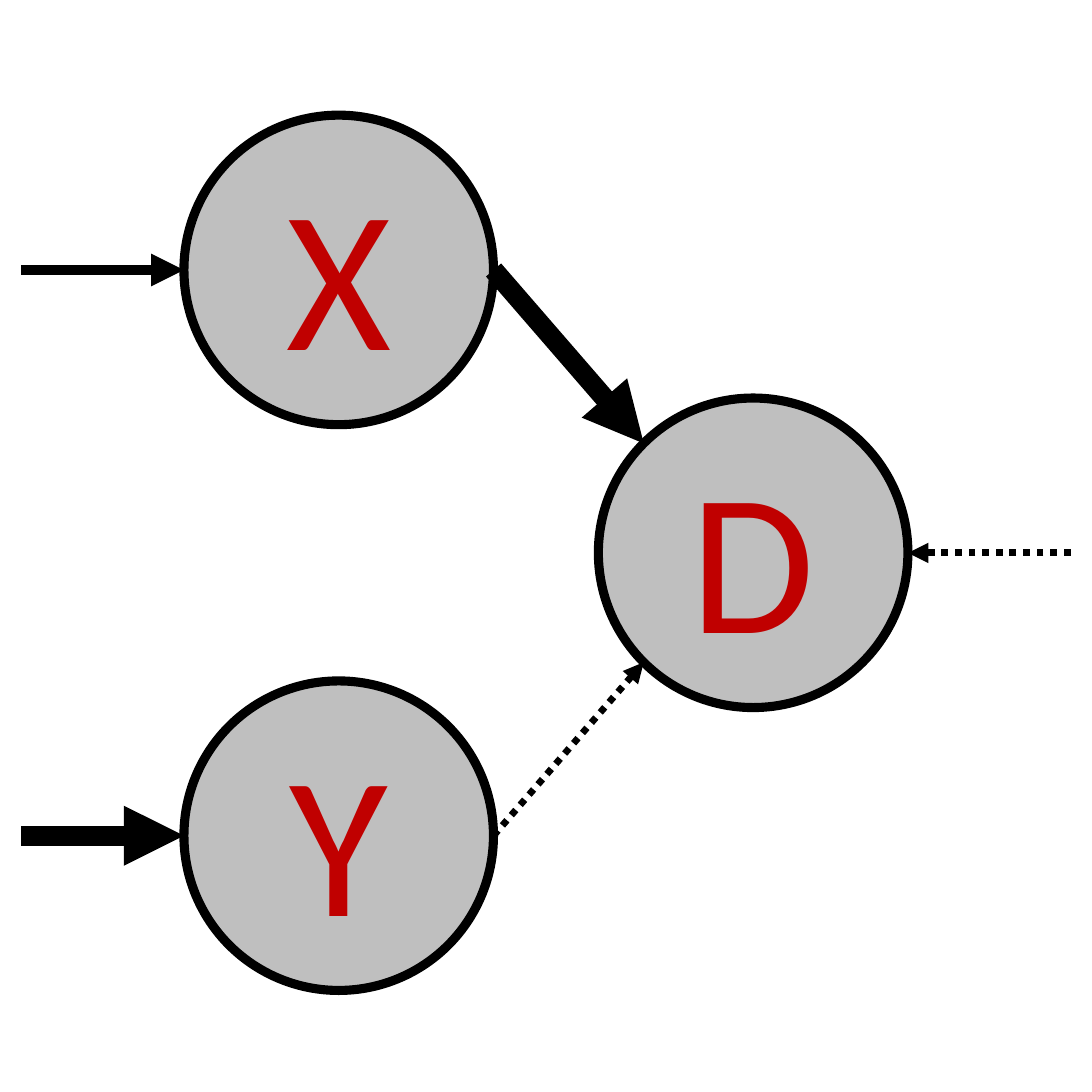
from dataclasses import dataclass
from math import cos, radians, sin

from lxml.etree import SubElement
from pptx import Presentation
from pptx.dml.color import RGBColor
from pptx.enum.dml import MSO_LINE
from pptx.enum.shapes import MSO_CONNECTOR, MSO_SHAPE
from pptx.enum.text import MSO_ANCHOR, PP_ALIGN
from pptx.oxml.ns import qn
from pptx.util import Cm, Pt


@dataclass(frozen=True)
class Theme:
    """Colours, font and sizes of the diagram."""
    ink: RGBColor = RGBColor(0x00, 0x00, 0x00)
    node_fill: RGBColor = RGBColor(0xBF, 0xBF, 0xBF)
    label: RGBColor = RGBColor(0xC0, 0x00, 0x00)
    font: str = "Calibri"
    label_size: float = 66.7
    outline: float = 3
    weak: float = 2.25
    medium: float = 3.6
    strong: float = 6.6


@dataclass(frozen=True)
class Node:
    """A labelled circle, measured in centimetres."""
    label: str
    x: float
    y: float
    radius: float = 1.8

    def rim(self, degrees):
        """Return the rim point at an angle, clockwise from the right."""
        angle = radians(degrees)
        return self.x + self.radius * cos(angle), self.y + self.radius * sin(angle)


def apply_format(target, values):
    """Set each named attribute on the target."""
    for name, value in values.items():
        setattr(target, name, value)


class NetworkSlide:
    """Draws nodes and arrows on one slide in one style."""

    def __init__(self, slide, theme):
        """Keep the slide and its theme."""
        self.slide = slide
        self.theme = theme

    def add_node(self, node):
        """Add a circle with its letter in the middle."""
        theme = self.theme
        diameter = Cm(2 * node.radius)
        shape = self.slide.shapes.add_shape(
            MSO_SHAPE.OVAL, Cm(node.x - node.radius), Cm(node.y - node.radius),
            diameter, diameter)
        shape.shadow.inherit = False
        shape.fill.solid()
        shape.fill.fore_color.rgb = theme.node_fill
        shape.line.color.rgb = theme.ink
        shape.line.width = Pt(theme.outline)
        apply_format(shape.text_frame, {
            "vertical_anchor": MSO_ANCHOR.MIDDLE, "word_wrap": True,
            "margin_left": Cm(0.2), "margin_right": Cm(0.2),
            "margin_top": Cm(0.1), "margin_bottom": Cm(0.1)})
        paragraph = shape.text_frame.paragraphs[0]
        paragraph.alignment = PP_ALIGN.CENTER
        run = paragraph.add_run()
        run.text = node.label
        apply_format(run.font, {"name": theme.font, "size": Pt(theme.label_size)})
        run.font.color.rgb = theme.label

    def add_arrow(self, start, end, width):
        """Add an arrow; the weakest width is dotted."""
        connector = self.slide.shapes.add_connector(
            MSO_CONNECTOR.STRAIGHT, *(Cm(value) for value in (*start, *end)))
        connector.line.color.rgb = self.theme.ink
        connector.line.width = Pt(width)
        if width == self.theme.weak:
            connector.line.dash_style = MSO_LINE.ROUND_DOT
        SubElement(connector.get_or_add_ln(), qn("a:tailEnd"), type="triangle")
        SubElement(connector._element.spPr, qn("a:effectLst"))


def main():
    """Build and save the network slide."""
    presentation = Presentation()
    side = 12.7
    presentation.slide_width = presentation.slide_height = Cm(side)
    slide = presentation.slides.add_slide(presentation.slide_layouts[6])
    theme = Theme()
    network = NetworkSlide(slide, theme)

    input_x, spread, middle, margin = 3.94, 3.29, 6.43, 0.25
    node_x = Node("X", input_x, middle - spread)
    node_y = Node("Y", input_x, middle + spread)
    node_d = Node("D", 8.76, middle)
    for node in (node_x, node_y, node_d):
        network.add_node(node)

    arrows = (
        ((margin, node_x.y), node_x.rim(180), theme.medium),
        ((margin, node_y.y), node_y.rim(180), theme.strong),
        (node_x.rim(0), node_d.rim(225), theme.strong),
        (node_y.rim(0), node_d.rim(135), theme.weak),
        ((side - margin, node_d.y), node_d.rim(0), theme.weak),
    )
    for start, end, width in arrows:
        network.add_arrow(start, end, width)
    presentation.save("out.pptx")


main()
